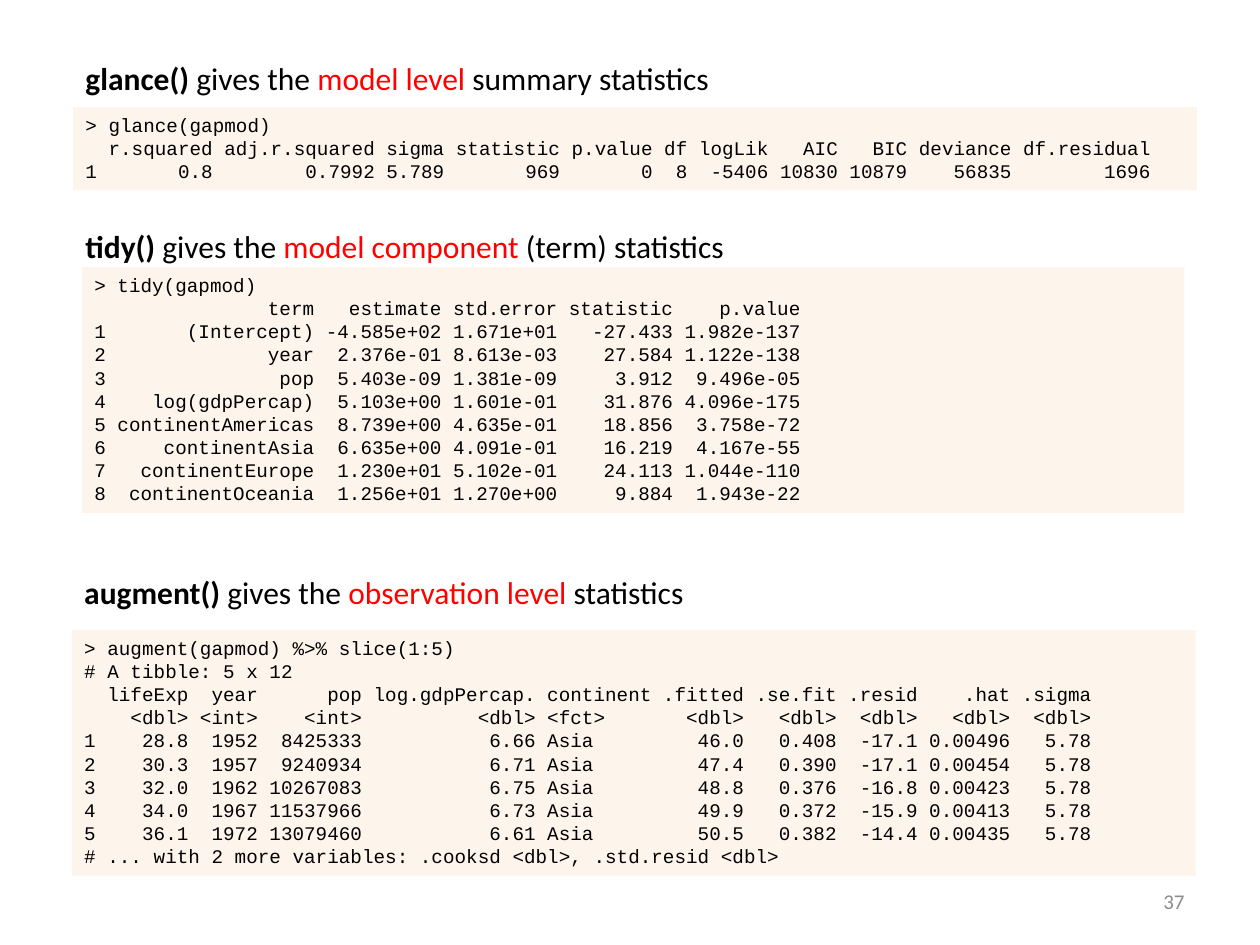
from lxml import etree
from pptx import Presentation
from pptx import util as u
from pptx.dml.color import RGBColor
from pptx.enum import shapes, text
from pptx.oxml.ns import qn

deck = Presentation()
deck.slide_width, deck.slide_height = u.Inches(10), u.Inches(7.5)
page = deck.slides.add_slide(deck.slide_layouts[6])


def add_span(para, words, font, size, color, bold=False):
    span = para.add_run()
    span.text = words
    span.font.name = font
    span.font.size = u.Pt(size)
    span.font.bold = bold
    span.font.color.rgb = RGBColor.from_string(color)


def place(*lengths):
    return [u.Inches(length) for length in lengths]


glance_code = """\
> glance(gapmod)
  r.squared adj.r.squared sigma statistic p.value df logLik   AIC   BIC deviance df.residual
1       0.8        0.7992 5.789       969       0  8  -5406 10830 10879    56835        1696"""

tidy_code = """\
> tidy(gapmod)
               term   estimate std.error statistic    p.value
1       (Intercept) -4.585e+02 1.671e+01   -27.433 1.982e-137
2              year  2.376e-01 8.613e-03    27.584 1.122e-138
3               pop  5.403e-09 1.381e-09     3.912  9.496e-05
4    log(gdpPercap)  5.103e+00 1.601e-01    31.876 4.096e-175
5 continentAmericas  8.739e+00 4.635e-01    18.856  3.758e-72
6     continentAsia  6.635e+00 4.091e-01    16.219  4.167e-55
7   continentEurope  1.230e+01 5.102e-01    24.113 1.044e-110
8  continentOceania  1.256e+01 1.270e+00     9.884  1.943e-22"""

augment_code = """\
> augment(gapmod) %>% slice(1:5)
# A tibble: 5 x 12
  lifeExp  year      pop log.gdpPercap. continent .fitted .se.fit .resid    .hat .sigma
    <dbl> <int>    <int>          <dbl> <fct>       <dbl>   <dbl>  <dbl>   <dbl>  <dbl>
1    28.8  1952  8425333           6.66 Asia         46.0   0.408  -17.1 0.00496   5.78
2    30.3  1957  9240934           6.71 Asia         47.4   0.390  -17.1 0.00454   5.78
3    32.0  1962 10267083           6.75 Asia         48.8   0.376  -16.8 0.00423   5.78
4    34.0  1967 11537966           6.73 Asia         49.9   0.372  -15.9 0.00413   5.78
5    36.1  1972 13079460           6.61 Asia         50.5   0.382  -14.4 0.00435   5.78
# ... with 2 more variables: .cooksd <dbl>, .std.resid <dbl>"""

sections = [
    ("glance() ", "model level ", "summary statistics", (0.58, 0.42, 7.25), (0.58, 0.85, 8.92), glance_code),
    ("tidy() ", "model component ", "(term) statistics", (0.58, 1.75, 8.82), (0.65, 2.12, 8.75), tidy_code),
    ("augment() ", "observation level ", "statistics", (0.57, 4.5, 8.92), (0.57, 5, 8.92), augment_code),
]
line_height, padding = 0.184, 0.11

for verb, level, ending, heading_place, code_place, code in sections:
    lines = code.split("\n")
    height = len(lines) * line_height + padding
    panel = page.shapes.add_shape(shapes.MSO_SHAPE.RECTANGLE, *place(*code_place, height))
    panel.shadow.inherit = False
    panel.line.fill.background()
    panel.fill.solid()
    panel.fill.fore_color.rgb = RGBColor.from_string("FDEADA")
    tint = panel.fill._xPr.find(".//" + qn("a:srgbClr"))
    etree.SubElement(tint, qn("a:alpha"), val="50000")
    frame = panel.text_frame
    frame.word_wrap = True
    frame.vertical_anchor = text.MSO_ANCHOR.TOP
    for index, line in enumerate(lines):
        para = frame.add_paragraph() if index else frame.paragraphs[0]
        para.alignment = text.PP_ALIGN.LEFT
        add_span(para, line, "Courier New", 11, "000000")

    heading = page.shapes.add_textbox(*place(*heading_place, 0.4))
    heading.text_frame.word_wrap = True
    para = heading.text_frame.paragraphs[0]
    add_span(para, verb, "Calibri", 18, "000000", True)
    for words, color in (("gives the ", "000000"), (level, "FF0000"), (ending, "000000")):
        add_span(para, words, "Calibri", 18, color)

number = page.shapes.add_textbox(*place(7.17, 6.95, 2.33, 0.4))
number.text_frame.word_wrap = True
number.text_frame.vertical_anchor = text.MSO_ANCHOR.MIDDLE
para = number.text_frame.paragraphs[0]
para.alignment = text.PP_ALIGN.RIGHT
add_span(para, "37", "Calibri", 12, "8C8C8C")

deck.save("out.pptx")
